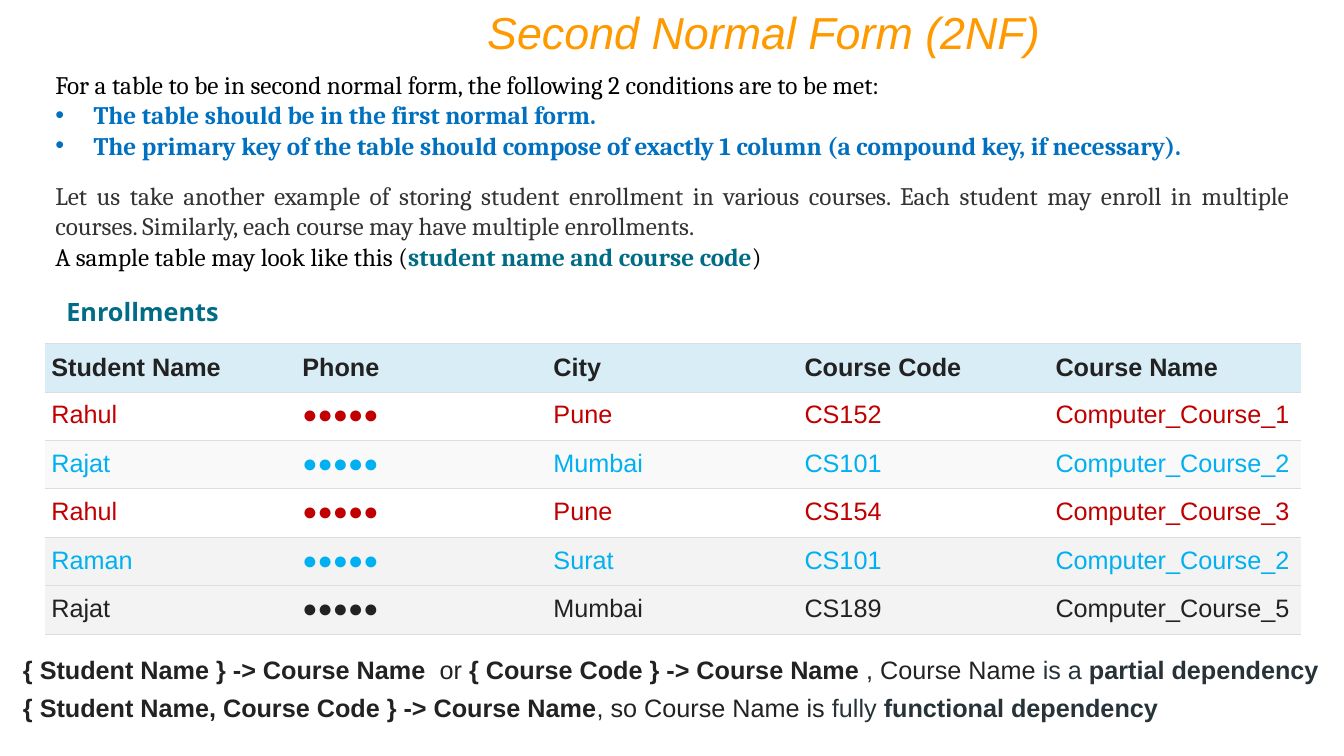
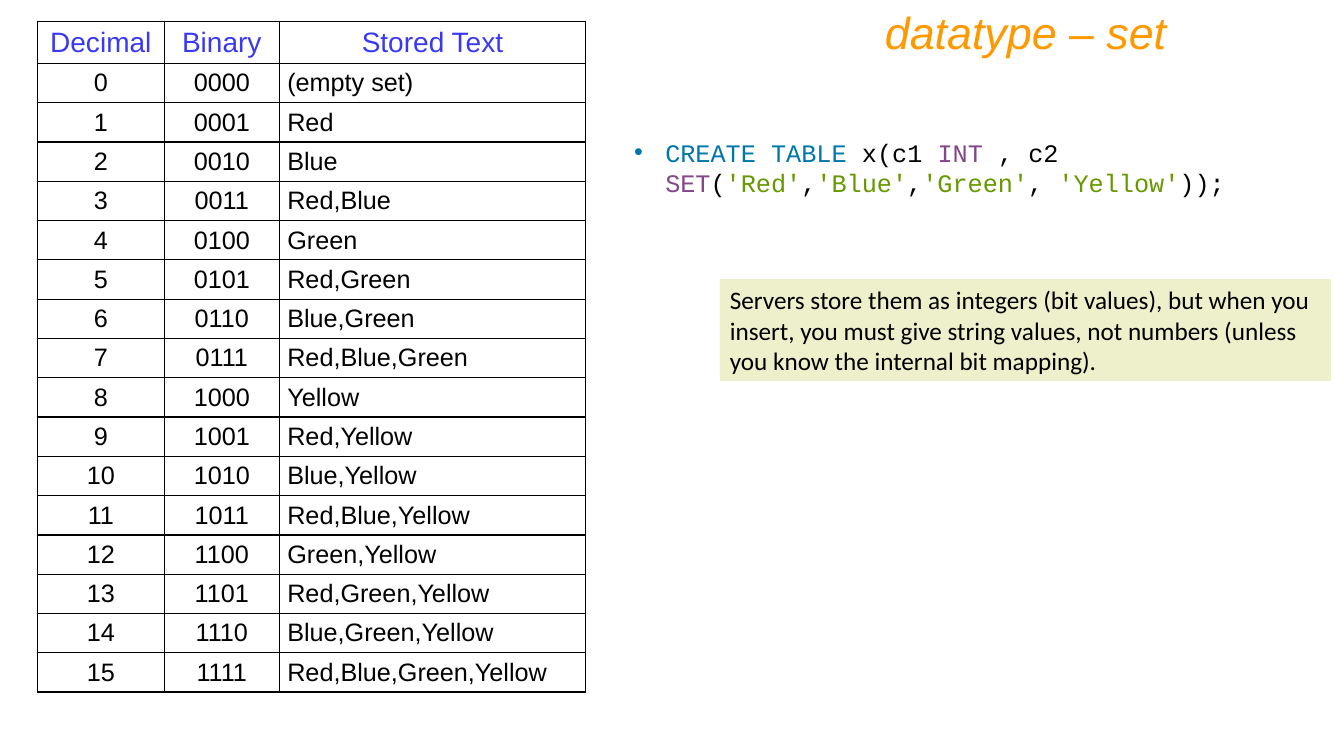
"""Build two database slides: second normal form and the SET datatype."""
from dataclasses import dataclass

from lxml import etree
from pptx import Presentation
from pptx.dml.color import RGBColor
from pptx.enum import shapes, text
from pptx.oxml import ns
from pptx.util import Inches, Pt

ORANGE = RGBColor(0xFF, 0x99, 0x00)
BLACK = RGBColor(0x00, 0x00, 0x00)
WHITE = RGBColor(0xFF, 0xFF, 0xFF)
INK = RGBColor(0x22, 0x22, 0x22)
SLATE = RGBColor(0x27, 0x32, 0x39)
GRAY = RGBColor(0x33, 0x33, 0x33)
BLUE = RGBColor(0x00, 0x70, 0xC0)
TEAL = RGBColor(0x00, 0x6C, 0x86)
RED = RGBColor(0xC0, 0x00, 0x00)
SKY = RGBColor(0x00, 0xB0, 0xF0)
VIOLET = RGBColor(0x39, 0x39, 0xF5)
KEYWORD = RGBColor(0x00, 0x77, 0xAA)
TYPE = RGBColor(0x83, 0x46, 0x89)
STRING = RGBColor(0x66, 0x99, 0x00)
HEADER_FILL = RGBColor(0xD9, 0xED, 0xF7)
PALE = RGBColor(0xF9, 0xF9, 0xF9)
SHADE = RGBColor(0xF3, 0xF3, 0xF3)
RULE = RGBColor(0xDD, 0xDD, 0xDD)
CREAM = RGBColor(0xED, 0xF0, 0xCA)

LEFT, CENTER = text.PP_ALIGN.LEFT, text.PP_ALIGN.CENTER
RIGHT, JUSTIFY = text.PP_ALIGN.RIGHT, text.PP_ALIGN.JUSTIFY
TOP, MIDDLE = text.MSO_ANCHOR.TOP, text.MSO_ANCHOR.MIDDLE

NO_STYLE = "{2D5ABB26-0587-4C30-8999-92F81FD0307C}"
TITLE = {"name": "Arial", "size": Pt(32), "italic": True}
HEADING = {"name": "Arial", "size": Pt(20)}
PROSE = {"name": "Cambria", "size": Pt(18)}
BODY = {"name": "Arial", "size": Pt(18)}
LABEL = {"name": "Open Sans", "size": Pt(18)}
CODE = {"name": "Courier New", "size": Pt(18)}
NOTE = {"name": "Calibri", "size": Pt(18)}


@dataclass
class Span:
    """A stretch of text in one colour and weight."""
    text: str
    color: RGBColor = BLACK
    bold: bool = False


@dataclass
class Para:
    """A paragraph made of spans."""
    spans: list[Span]
    align: text.PP_ALIGN = LEFT
    indent: float = 0
    before: int = 0


@dataclass
class Border:
    """A line drawn on the named sides of a cell."""
    sides: str
    color: RGBColor
    width: float


@dataclass
class Look:
    """The appearance of a table cell."""
    font: dict
    color: RGBColor
    border: Border
    margins: tuple[float, float]
    fill: RGBColor | None = None
    bold: bool = False
    align: text.PP_ALIGN = LEFT
    anchor: text.MSO_ANCHOR = MIDDLE


def apply(target, values: dict) -> None:
    """Set each named attribute on the target."""
    for name, value in values.items():
        setattr(target, name, value)


def write(frame, paras: list[Para], font: dict) -> None:
    """Fill a text frame with paragraphs."""
    for index, para in enumerate(paras):
        line = frame.add_paragraph() if index else frame.paragraphs[0]
        line.alignment = para.align
        if para.before:
            line.space_before = Pt(para.before)
        if para.indent:
            props = line._p.get_or_add_pPr()
            props.set("marL", str(Inches(para.indent)))
            props.set("indent", str(-Inches(para.indent)))
            etree.SubElement(props, ns.qn("a:buFont"), typeface="Arial")
            etree.SubElement(props, ns.qn("a:buChar"), char="•")
        for span in para.spans:
            run = line.add_run()
            run.text = span.text
            apply(run.font, {**font, "bold": span.bold})
            run.font.color.rgb = span.color


def add_text(slide, at: tuple, paras: list[Para], font: dict,
             fill: RGBColor | None = None) -> None:
    """Add a wrapped text box, or a filled rectangle with text."""
    place = [Inches(value) for value in at]
    if fill is None:
        box = slide.shapes.add_textbox(*place)
    else:
        box = slide.shapes.add_shape(shapes.MSO_SHAPE.RECTANGLE, *place)
        box.shadow.inherit = False
        box.fill.solid()
        box.fill.fore_color.rgb = fill
        box.line.fill.background()
    apply(box.text_frame, {"word_wrap": True,
                           "auto_size": text.MSO_AUTO_SIZE.SHAPE_TO_FIT_TEXT})
    write(box.text_frame, paras, font)


def add_title(slide, right: float, wording: str) -> None:
    """Add the orange title ending at the given right edge."""
    width = 7.5
    add_text(slide, (right - width, 0, width, 0.64),
             [Para([Span(wording, ORANGE)], RIGHT)], TITLE)


def style_cell(cell, wording: str, look: Look) -> None:
    """Write one table cell and give it borders and fill."""
    across, down = (Inches(value) for value in look.margins)
    apply(cell, {"margin_left": across, "margin_right": across,
                 "margin_top": down, "margin_bottom": down,
                 "vertical_anchor": look.anchor})
    write(cell.text_frame,
          [Para([Span(wording, look.color, look.bold)], look.align)], look.font)
    props = cell._tc.get_or_add_tcPr()
    for side in look.border.sides:
        edge = etree.SubElement(props, ns.qn(f"a:ln{side}"),
                                w=str(Pt(look.border.width)))
        solid = etree.SubElement(edge, ns.qn("a:solidFill"))
        etree.SubElement(solid, ns.qn("a:srgbClr"), val=str(look.border.color))
    if look.fill is None:
        cell.fill.background()
    else:
        cell.fill.solid()
        cell.fill.fore_color.rgb = look.fill


def add_grid(slide, corner: tuple, widths: list[float], heights: list[float],
             rows: list[tuple[tuple, list[Look]]]) -> None:
    """Add a table from rows of wording and looks."""
    size = (sum(widths), sum(heights))
    table = slide.shapes.add_table(
        len(heights), len(widths),
        *(Inches(value) for value in corner + size)).table
    table._tbl.tblPr.find(ns.qn("a:tableStyleId")).text = NO_STYLE
    for column, width in zip(table.columns, widths):
        column.width = Inches(width)
    for row, height, (wordings, looks) in zip(table.rows, heights, rows):
        row.height = Inches(height)
        for cell, wording, look in zip(row.cells, wordings, looks):
            style_cell(cell, wording, look)


def build_normal_form(slide) -> None:
    """Draw the second normal form slide."""
    add_title(slide, 10.42, "Second Normal Form (2NF)")
    conditions = (
        "The table should be in the first normal form.",
        "The primary key of the table should compose of exactly 1 column "
        "(a compound key, if necessary).")
    add_text(slide, (0.45, 0.64, 12.44, 1.01), [
        Para([Span("For a table to be in second normal form, the following "
                   "2 conditions are to be met:")]),
        *(Para([Span(item, BLUE, True)], indent=0.38) for item in conditions),
    ], PROSE)
    add_text(slide, (0.45, 1.74, 12.44, 1.01), [
        Para([Span("Let us take another example of storing student enrollment "
                   "in various courses. Each student may enroll in multiple "
                   "courses. Similarly, each course may have multiple "
                   "enrollments.", GRAY)], JUSTIFY),
        Para([Span("A sample table may look like this ("),
              Span("student name and course code", TEAL, True),
              Span(")")], JUSTIFY),
    ], PROSE)

    border = Border("TB", RULE, 0.75)
    margins = (0.06, 0.09)
    header = Look(BODY, INK, border, margins, HEADER_FILL, bold=True)
    enrollments = [
        ("Rahul", "Pune", "CS152", 1, RED, WHITE),
        ("Rajat", "Mumbai", "CS101", 2, SKY, PALE),
        ("Rahul", "Pune", "CS154", 3, RED, WHITE),
        ("Raman", "Surat", "CS101", 2, SKY, SHADE),
        ("Rajat", "Mumbai", "CS189", 5, INK, SHADE),
    ]
    names = ("Student Name", "Phone", "City", "Course Code", "Course Name")
    rows = [(names, [header] * 5)]
    for student, city, code, course, color, fill in enrollments:
        look = Look(BODY, color, border, margins, fill, anchor=TOP)
        rows.append(((student, "●●●●●", city, code,
                      f"Computer_Course_{course}"), [look] * 5))
    add_grid(slide, (0.45, 3.41), [2.49] * 5, [0.48] * len(rows), rows)

    add_text(slide, (0.56, 2.89, 3.19, 0.41),
             [Para([Span("Enrollments", TEAL, True)])], LABEL)
    add_text(slide, (0.13, 6.44, 13.07, 0.77), [
        Para([Span("{ Student Name } -> Course Name  ", INK, True),
              Span("or ", INK),
              Span("{ Course Code } -> Course Name ", INK, True),
              Span(", Course Name ", INK),
              Span("is a ", SLATE),
              Span("partial dependency", SLATE, True)]),
        Para([Span("{ Student Name, Course Code } -> Course Name", INK, True),
              Span(", so Course Name is ", INK),
              Span("fully ", SLATE),
              Span("functional dependency", SLATE, True)], before=6),
    ], BODY)


def build_set_datatype(slide) -> None:
    """Draw the SET datatype slide."""
    border = Border("LRTB", BLACK, 1)
    margins = (0.08, 0.04)
    header = Look(HEADING, VIOLET, border, margins, align=CENTER)
    number = Look(BODY, BLACK, border, margins, align=CENTER)
    member = Look(BODY, BLACK, border, margins)
    colors = ("Red", "Blue", "Green", "Yellow")
    rows = [(("Decimal", "Binary", "Stored Text"), [header] * 3)]
    for value in range(2 ** len(colors)):
        stored = ",".join(color for bit, color in enumerate(colors)
                          if value >> bit & 1)
        rows.append(((str(value), f"{value:04b}", stored or "(empty set)"),
                     [number, number, member]))
    add_grid(slide, (0.37, 0.21), [1.26, 1.14, 3.04],
             [0.42] + [0.39] * (len(rows) - 1), rows)

    add_title(slide, 11.67, "datatype – set")
    add_text(slide, (6.19, 1.31, 6.77, 0.71), [Para([
        Span("CREATE TABLE", KEYWORD), Span(" x(c1 "), Span("INT", TYPE),
        Span(" , c2 "), Span("SET", TYPE), Span("("),
        Span("'Red'", STRING), Span(","), Span("'Blue'", STRING), Span(","),
        Span("'Green'", STRING), Span(", "), Span("'Yellow'", STRING),
        Span("));")], indent=0.31)], CODE)
    add_text(slide, (7.14, 2.77, 6.06, 1.01), [Para([Span(
        "Servers store them as integers (bit values), but when you insert, you "
        "must give string values, not numbers (unless you know the internal "
        "bit mapping).")])], NOTE, CREAM)


def main() -> None:
    """Build and save the deck."""
    deck = Presentation()
    apply(deck, {"slide_width": Inches(13.33), "slide_height": Inches(7.5)})
    for build in (build_normal_form, build_set_datatype):
        build(deck.slides.add_slide(deck.slide_layouts[6]))
    deck.save("out.pptx")


if __name__ == "__main__":
    main()
